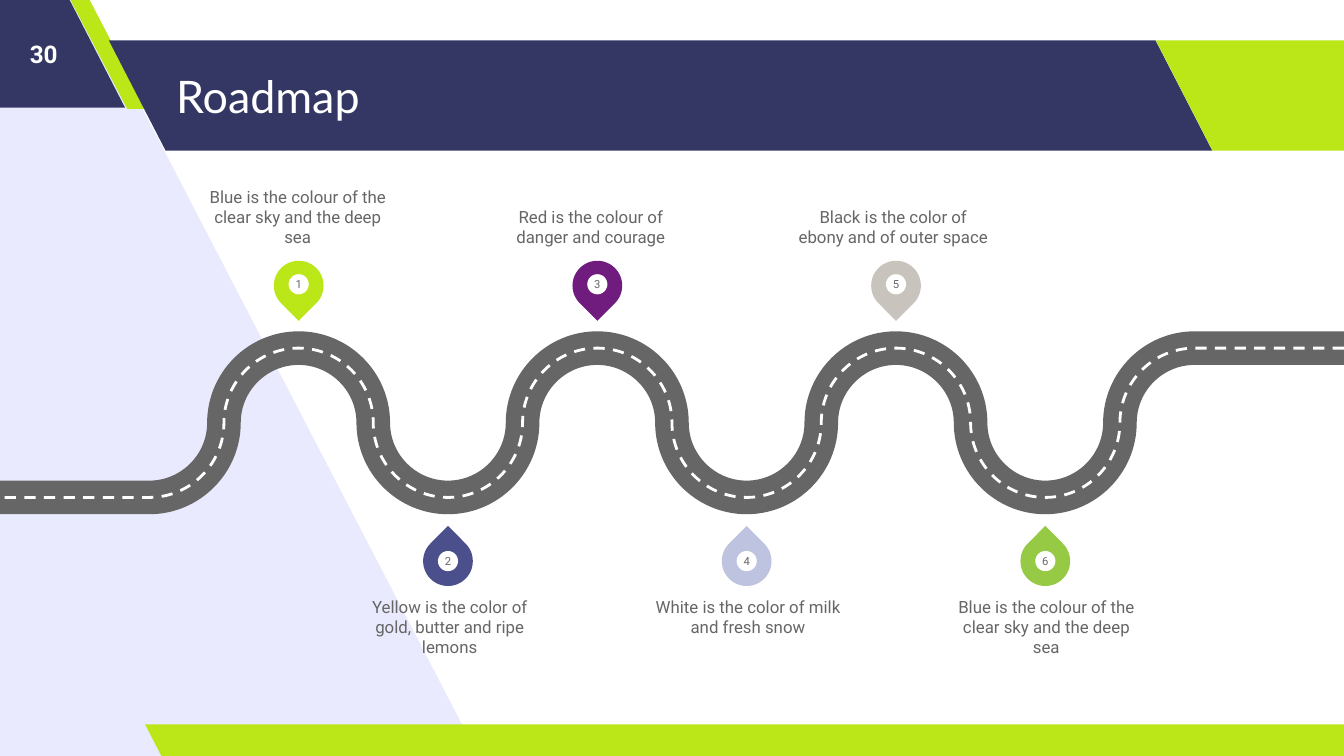
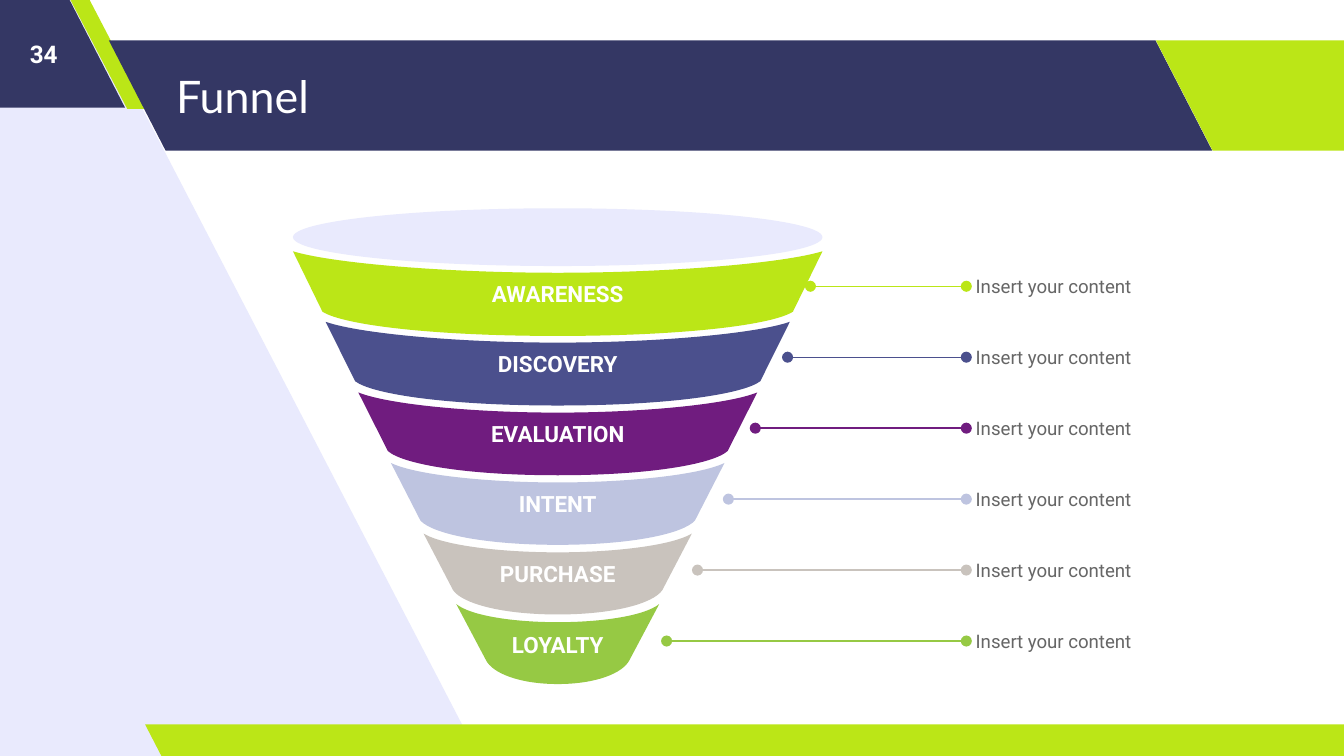
import pptx
import pptx.dml.color
import pptx.enum.dml
import pptx.enum.shapes
import pptx.enum.text
import pptx.oxml
import pptx.oxml.ns
import pptx.util

COLORS = {
    "navy": "343764", "lime": "BBE617", "mist": "E9EAFD", "white": "FFFFFF",
    "gray": "666666", "purple": "701C7F", "stone": "C9C3BD", "green": "96C944",
    "sky": "BEC4E0", "indigo": "4B508D",
}
COLS, ROWS = 100, 56.25
CELL = pptx.util.Inches(0.1)
BEND = COLS / 9
ROUND = 0.55

SHAPE = pptx.enum.shapes.MSO_SHAPE
ALIGN = pptx.enum.text.PP_ALIGN
ANCHOR = pptx.enum.text.MSO_ANCHOR
qn = pptx.oxml.ns.qn

STOPS = [
    ("lime", 15.1, "Blue is the colour of the clear sky and the deep sea"),
    ("indigo", 26.4, "Yellow is the color of gold, butter and ripe lemons"),
    ("purple", 36.9, "Red is the colour of danger and courage"),
    ("sky", 48.6, "White is the color of milk and fresh snow"),
    ("stone", 59.4, "Black is the color of ebony and of outer space"),
    ("green", 70.8, "Blue is the colour of the clear sky and the deep sea"),
]
STAGES = [
    ("AWARENESS", "lime", 60.3),
    ("DISCOVERY", "indigo", 58.6),
    ("EVALUATION", "purple", 56.2),
    ("INTENT", "sky", 54.2),
    ("PURCHASE", "stone", 51.9),
    ("LOYALTY", "green", 49.6),
]


def cells(*values):
    return [round(v * CELL) for v in values]


def rgb(name):
    return pptx.dml.color.RGBColor.from_string(COLORS[name])


def write(sp, text, size=9, color="gray", font="Roboto", bold=False,
          align=ALIGN.CENTER, anchor=ANCHOR.MIDDLE, inset=0):
    tf = sp.text_frame
    tf.word_wrap = True
    tf.auto_size = pptx.enum.text.MSO_AUTO_SIZE.NONE
    tf.vertical_anchor = anchor
    tf.margin_left = tf.margin_right = tf.margin_top = tf.margin_bottom = cells(inset)[0]
    p = tf.paragraphs[0]
    p.alignment = align
    r = p.add_run()
    r.text = text
    r.font.size = pptx.util.Pt(size)
    r.font.name = font
    r.font.bold = bold
    r.font.color.rgb = rgb(color)


def paint(sp, fill):
    sp.shadow.inherit = False
    sp.fill.solid()
    sp.fill.fore_color.rgb = rgb(fill)
    sp.line.fill.background()


def add_shape(slide, kind, box, fill, adj=None, rotation=0, flip=False):
    sp = slide.shapes.add_shape(kind, *cells(*box))
    paint(sp, fill)
    sp.rotation = rotation
    if adj is not None:
        sp.adjustments[0] = adj
    if flip:
        sp.element.spPr.find(qn("a:xfrm")).set("flipH", "1")
    return sp


def add_text(slide, box, text, **fmt):
    write(slide.shapes.add_textbox(*cells(*box)), text, **fmt)


def add_path(slide, start, segments, close=True):
    builder = slide.shapes.build_freeform(*cells(*start), scale=1.0)
    builder.add_line_segments([cells(*pt) for seg in segments for pt in seg], close=close)
    sp = builder.convert_to_shape()
    steps = iter(list(sp.element.iter(qn("a:lnTo"))))
    for seg in segments:
        first, *rest = [next(steps) for _ in seg]
        if rest:
            curve = pptx.oxml.parse_xml(
                "<a:cubicBezTo %s/>" % pptx.oxml.ns.nsdecls("a"))
            first.addprevious(curve)
            for step in [first, *rest]:
                curve.append(step[0])
                step.getparent().remove(step)
    return sp


def add_dotted_line(slide, x1, x2, y, color):
    line = slide.shapes.add_connector(
        pptx.enum.shapes.MSO_CONNECTOR.STRAIGHT, *cells(x1, y, x2, y))
    line.line.color.rgb = rgb(color)
    line.line.width = pptx.util.Pt(0.75)
    ln = line.line._get_or_add_ln()
    for end in ("a:headEnd", "a:tailEnd"):
        ln.append(pptx.oxml.parse_xml(
            '<%s %s type="oval"/>' % (end, pptx.oxml.ns.nsdecls("a"))))
    line.element.spPr.append(pptx.oxml.parse_xml(
        "<a:effectLst %s/>" % pptx.oxml.ns.nsdecls("a")))


def decorate_layout(layout, slide):
    for ph in list(layout.placeholders):
        if ph.placeholder_format.type != pptx.enum.shapes.PP_PLACEHOLDER.TITLE:
            ph.element.getparent().remove(ph.element)
    wedge = add_path(slide, (35.6, ROWS), [[(6.4, 0)], [(0, 0)], [(0, ROWS)]])
    paint(wedge, "mist")
    parts = [wedge]
    for box, fill, adj in [
        ((-9.9, -0.2, 19.2, 8.2), "navy", 0.515),
        ((5.2, -0.1, 5.7, 8.2), "lime", 0.75),
        ((8.1, 3, 82.1, 8.2), "navy", 0.515),
        ((86, 3, 19.2, 8.2), "lime", 0.515),
        ((10.8, 53.9, 91.5, 2.5), "lime", 0.515),
    ]:
        parts.append(add_shape(slide, SHAPE.PARALLELOGRAM, box, fill, adj, flip=True))
    for i, sp in enumerate(parts):
        sp.element.nvSpPr.cNvPr.set("id", str(100 + i))
        layout.shapes.element.insert(2 + i, sp.element)


def fill_header(slide, title, number):
    sp = slide.shapes.title
    sp.left, sp.top, sp.width, sp.height = cells(12.1, 3, 73.5, 8.2)
    write(sp, title, size=24, color="white", font="Lato", align=ALIGN.LEFT, inset=1)
    add_text(slide, (0, 0, 6.5, 8), number, size=13, color="white", bold=True, inset=1)


def road_segments(mid):
    r = BEND / 2
    segments = []
    for k in range(8, 0, -1):
        x = k * BEND
        rise = -r if k % 2 == 0 else r
        edge, shoulder = mid + rise, mid + ROUND * rise
        if k == 8:
            start = (COLS, edge)
            segments.append([(x, edge)])
        else:
            segments.append([(x + r, shoulder), (x + ROUND * r, edge), (x, edge)])
        if k == 1:
            segments.append([(0, edge)])
        else:
            segments.append([(x - ROUND * r, edge), (x - r, shoulder), (x - r, mid)])
    return start, segments


def add_road(slide):
    start, segments = road_segments(31.46)
    for color, width, dash in [("gray", 18, None),
                               ("white", 1.5, pptx.enum.dml.MSO_LINE.DASH)]:
        sp = add_path(slide, start, segments, close=False)
        sp.shadow.inherit = False
        sp.fill.background()
        sp.line.color.rgb = rgb(color)
        sp.line.width = pptx.util.Pt(width)
        if dash:
            sp.line.dash_style = dash


def add_stop(slide, number, color, caption_x, caption):
    x = (number + 1) * BEND
    above = number % 2 == 1
    pin_y, dot_y, caption_y = (19.4, 20.4, 12.6) if above else (39.9, 41, 44.4)
    add_shape(slide, SHAPE.TEAR, (x - 1.85, pin_y, 3.7, 3.7), color, 1,
              rotation=135 if above else 315)
    dot = add_shape(slide, SHAPE.OVAL, (x - 0.75, dot_y, 1.5, 1.5), "white")
    write(dot, str(number), size=6)
    add_text(slide, (caption_x, caption_y, 14.1, 5.8), caption,
             anchor=ANCHOR.BOTTOM if above else ANCHOR.TOP)


def add_band(slide, i, label, color):
    center, half, top = 41.5, 19.7 - 2.43 * i, 18.7 + 5.25 * i
    dip, bottom = 20.3 + 5.2 * i, 25 + 5.18 * i
    corner = half - 2.2

    def at(dx, y):
        return center + dx, y

    sp = add_path(slide, at(-half, top), [
        [at(-corner, bottom - 1.8)],
        [at(-0.91 * corner, bottom - 0.8), at(-0.53 * corner, bottom), at(0, bottom)],
        [at(0.53 * corner, bottom), at(0.91 * corner, bottom - 0.8),
         at(corner, bottom - 1.8)],
        [at(half, top)],
        [at(0.85 * half, top + 0.9), at(0.42 * half, dip), at(0, dip)],
        [at(-0.42 * half, dip), at(-0.85 * half, top + 0.9), at(-half, top)],
    ])
    paint(sp, color)
    write(sp, label, size=12, color="white", bold=True, inset=0.4)


def add_note(slide, i, color, x):
    y = 21.3 + 5.28 * i
    add_dotted_line(slide, x, 71.9, y, color)
    add_text(slide, (72.6, y - 1.9, 20.8, 3.8), "Insert your content", size=10,
             align=ALIGN.LEFT)


def build_roadmap(slide):
    fill_header(slide, "Roadmap", "30")
    add_road(slide)
    for number, stop in enumerate(STOPS, 1):
        add_stop(slide, number, *stop)


def build_funnel(slide):
    fill_header(slide, "Funnel", "34")
    for i, (label, color, line_x) in enumerate(STAGES):
        add_band(slide, i, label, color)
        add_note(slide, i, color, line_x)
    add_shape(slide, SHAPE.OVAL, (21.8, 15.5, 39.4, 4.3), "mist")


def main():
    prs = pptx.Presentation()
    prs.slide_width, prs.slide_height = cells(COLS, ROWS)
    layout = prs.slide_layouts[5]
    roadmap, funnel = [prs.slides.add_slide(layout) for _ in range(2)]
    decorate_layout(layout, roadmap)
    build_roadmap(roadmap)
    build_funnel(funnel)
    prs.save("out.pptx")


if __name__ == "__main__":
    main()
